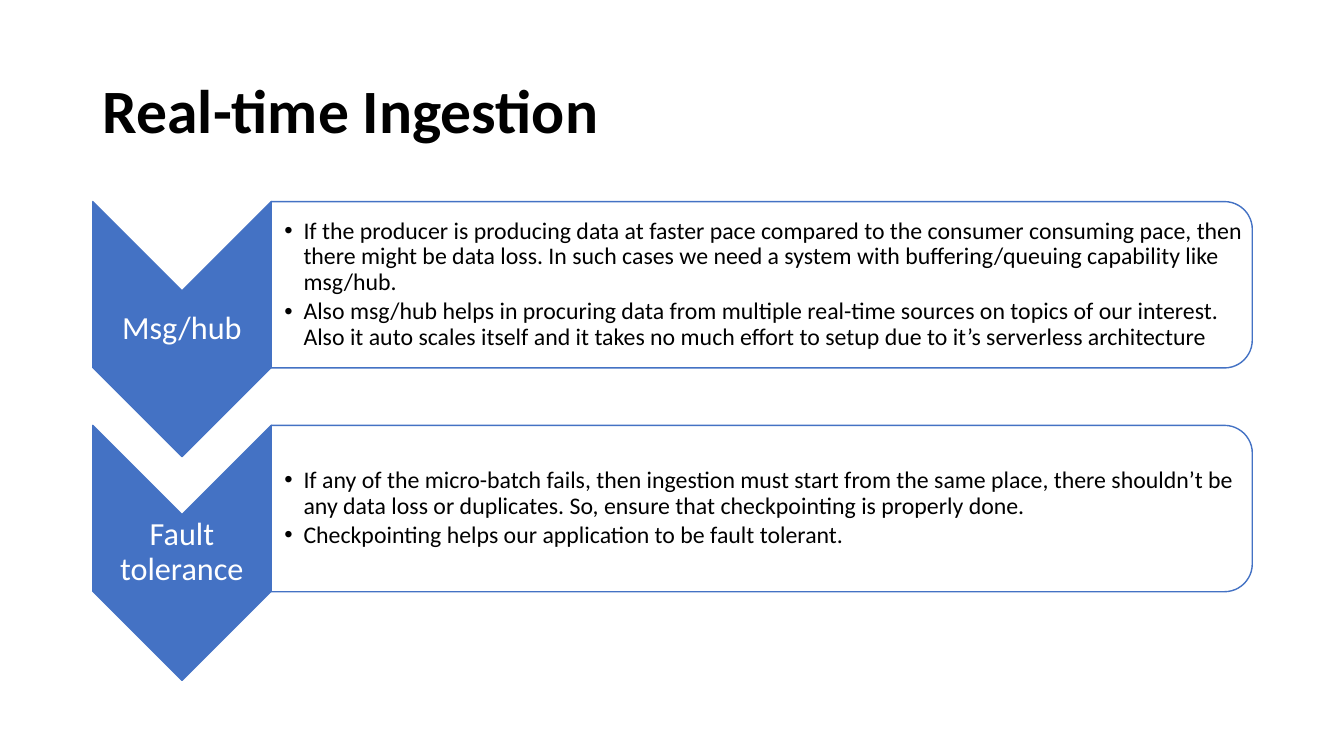
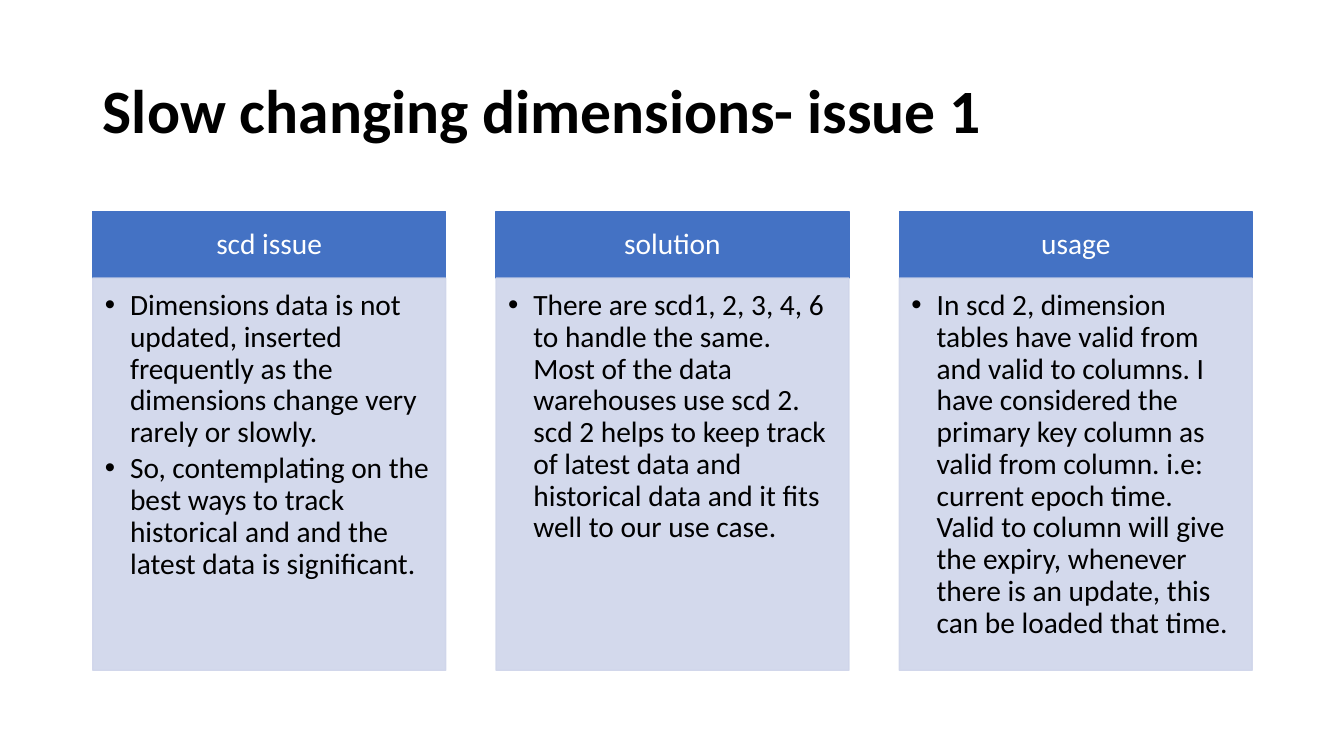
from lxml.etree import SubElement
from pptx import Presentation
from pptx.dml.color import RGBColor
from pptx.enum.shapes import MSO_SHAPE
from pptx.enum.text import MSO_ANCHOR, PP_ALIGN
from pptx.oxml.ns import qn
from pptx.util import Inches, Pt

# Shared style and page grid, in inches
FONT = "Calibri"
BLUE, PALE, WHITE, BLACK = "4472C4", "CFD5EA", "FFFFFF", "000000"
LEFT, CONTENT_WIDTH = 0.92, 11.5


def write(shape, texts, size, color, align=PP_ALIGN.LEFT, anchor=MSO_ANCHOR.MIDDLE,
          insets=(0.1, 0.05, 0.1, 0.05), after=0, indent=0, bold=False):
    """Fill a shape with paragraphs; after is a share of the size, an indent adds bullets."""
    frame = shape.text_frame
    frame.word_wrap = True
    frame.vertical_anchor = anchor
    (frame.margin_left, frame.margin_top,
     frame.margin_right, frame.margin_bottom) = map(Inches, insets)
    for index, text in enumerate(texts):
        paragraph = frame.add_paragraph() if index else frame.paragraphs[0]
        paragraph.text = text
        paragraph.alignment = align
        paragraph.line_spacing = 0.9
        paragraph.space_after = Pt(size * after)
        if indent:
            properties = paragraph._p.get_or_add_pPr()
            properties.set("marL", str(Inches(indent)))
            properties.set("indent", str(-Inches(indent)))
            SubElement(properties, qn("a:buFont")).set("typeface", "Arial")
            SubElement(properties, qn("a:buChar")).set("char", "•")
        font = paragraph.font
        font.name, font.size, font.bold = FONT, Pt(size), bold
        font.color.rgb = RGBColor.from_string(color)


def add_block(slide, kind, left, top, width, height, fill, line, opacity=100):
    """Add a filled, outlined shape; the opacity holds for every use of the fill colour."""
    shape = slide.shapes.add_shape(kind, *map(Inches, (left, top, width, height)))
    shape.shadow.inherit = False
    shape.fill.solid()
    shape.fill.fore_color.rgb = RGBColor.from_string(fill)
    shape.line.color.rgb = RGBColor.from_string(line)
    shape.line.width = Pt(1)
    if opacity < 100:
        for color in shape._element.spPr.iter(qn("a:srgbClr")):
            if color.get("val") == fill:
                SubElement(color, qn("a:alpha")).set("val", str(opacity * 1000))
    return shape


presentation = Presentation()
presentation.slide_width, presentation.slide_height = Inches(13.33), Inches(7.5)

# Slides with their titles
slides = []
for heading in ("Real-time Ingestion", "Slow changing dimensions- issue 1"):
    slide = presentation.slides.add_slide(presentation.slide_layouts[5])
    title = slide.shapes.title
    title.left, title.top = Inches(LEFT), Inches(0.4)
    title.width, title.height = Inches(CONTENT_WIDTH), Inches(1.45)
    write(title, [heading], 44, BLACK, bold=True)
    slides.append(slide)
ingestion_slide, dimensions_slide = slides

# Ingestion: rows of a downward chevron and a panel rounded on the right
topics = [
    ("Msg/hub", [
        "If the producer is producing data at faster pace compared to the consumer "
        "consuming pace, then there might be data loss. In such cases we need a system "
        "with buffering/queuing capability like msg/hub.",
        "Also msg/hub helps in procuring data from multiple real-time sources on topics "
        "of our interest. Also it auto scales itself and it takes no much effort to setup "
        "due to it’s serverless architecture",
    ]),
    ("Fault tolerance", [
        "If any of the micro-batch fails, then ingestion must start from the same place, "
        "there shouldn’t be any data loss or duplicates. So, ensure that checkpointing is "
        "properly done.",
        "Checkpointing helps our application to be fault tolerant.",
    ]),
]
ROWS_TOP, ROW_PITCH = 2.0, 2.22
CHEVRON_WIDTH, CHEVRON_HEIGHT, PANEL_HEIGHT = 1.77, 2.53, 1.65
PANEL_LEFT = LEFT + CHEVRON_WIDTH
PANEL_WIDTH = CONTENT_WIDTH - CHEVRON_WIDTH

for row, (topic, points) in enumerate(topics):
    top = ROWS_TOP + row * ROW_PITCH
    # Each shape is turned by a quarter about its centre, so its sides swap
    for kind, left, width, height, fill, opacity in (
        (MSO_SHAPE.CHEVRON, LEFT, CHEVRON_WIDTH, CHEVRON_HEIGHT, BLUE, 100),
        (MSO_SHAPE.ROUND_2_SAME_RECTANGLE, PANEL_LEFT, PANEL_WIDTH, PANEL_HEIGHT, WHITE, 90),
    ):
        shift = (width - height) / 2
        shape = add_block(ingestion_slide, kind, left + shift, top - shift,
                          height, width, fill, BLUE, opacity)
        shape.rotation = 90

    label = ingestion_slide.shapes.add_textbox(
        *map(Inches, (LEFT, top + CHEVRON_WIDTH / 2, CHEVRON_WIDTH,
                      CHEVRON_HEIGHT - CHEVRON_WIDTH)))
    write(label, [topic], 23, WHITE, PP_ALIGN.CENTER, insets=[0.02] * 4, after=0.35)
    details = ingestion_slide.shapes.add_textbox(
        *map(Inches, (PANEL_LEFT, top + 0.08, PANEL_WIDTH - 0.08, PANEL_HEIGHT - 0.16)))
    write(details, points, 17, BLACK, insets=(0.13, 0.01, 0.01, 0.01),
          after=0.15, indent=0.19)

# Dimensions: equal columns of a header over a body
columns = [
    ("scd issue", [
        "Dimensions data is not updated, inserted frequently as the dimensions change "
        "very rarely or slowly.",
        "So, contemplating on the best ways to track historical and and the latest data "
        "is significant.",
    ]),
    ("solution", [
        "There are scd1, 2, 3, 4, 6 to handle the same. Most of the data warehouses use "
        "scd 2. scd 2 helps to keep track of latest data and historical data and it fits "
        "well to our use case.",
    ]),
    ("usage", [
        "In scd 2, dimension tables have valid from and valid to columns. I have "
        "considered the primary key column as valid from column. i.e: current epoch time. "
        "Valid to column will give the expiry, whenever there is an update, this can be "
        "loaded that time.",
    ]),
]
COLUMNS_TOP, COLUMN_WIDTH, HEADER_HEIGHT, BODY_HEIGHT = 2.1, 3.5, 0.66, 3.89
column_pitch = (CONTENT_WIDTH - COLUMN_WIDTH) / (len(columns) - 1)

for column, (heading, points) in enumerate(columns):
    left = LEFT + column * column_pitch
    header = add_block(dimensions_slide, MSO_SHAPE.RECTANGLE, left, COLUMNS_TOP,
                       COLUMN_WIDTH, HEADER_HEIGHT, BLUE, BLUE)
    write(header, [heading], 21, WHITE, PP_ALIGN.CENTER,
          insets=(0.16, 0.09, 0.16, 0.09), after=0.35)
    body = add_block(dimensions_slide, MSO_SHAPE.RECTANGLE, left,
                     COLUMNS_TOP + HEADER_HEIGHT, COLUMN_WIDTH, BODY_HEIGHT, PALE, PALE, 90)
    write(body, points, 21, BLACK, anchor=MSO_ANCHOR.TOP,
          insets=(0.12, 0.12, 0.16, 0.18), after=0.15, indent=0.25)

presentation.save("out.pptx")
